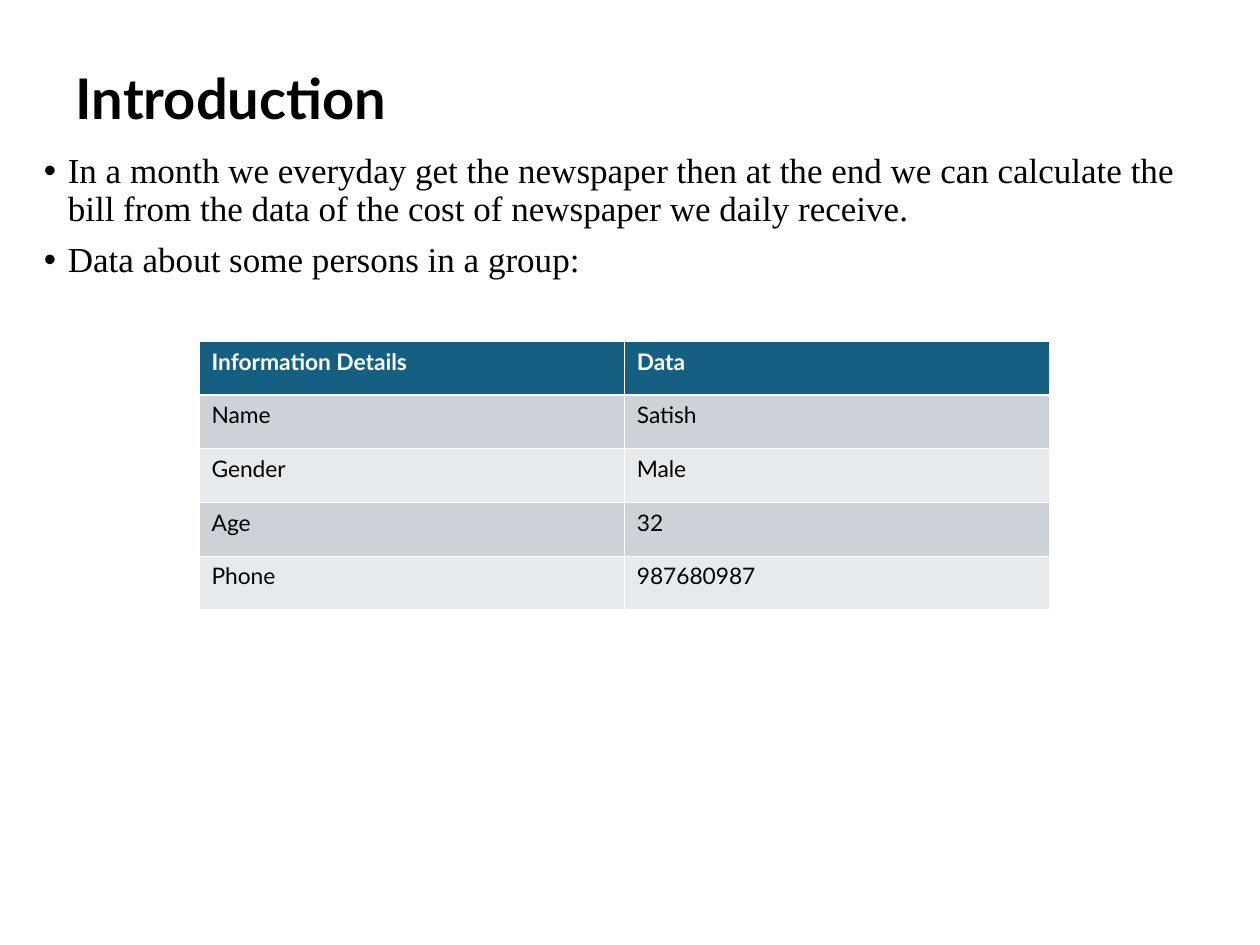
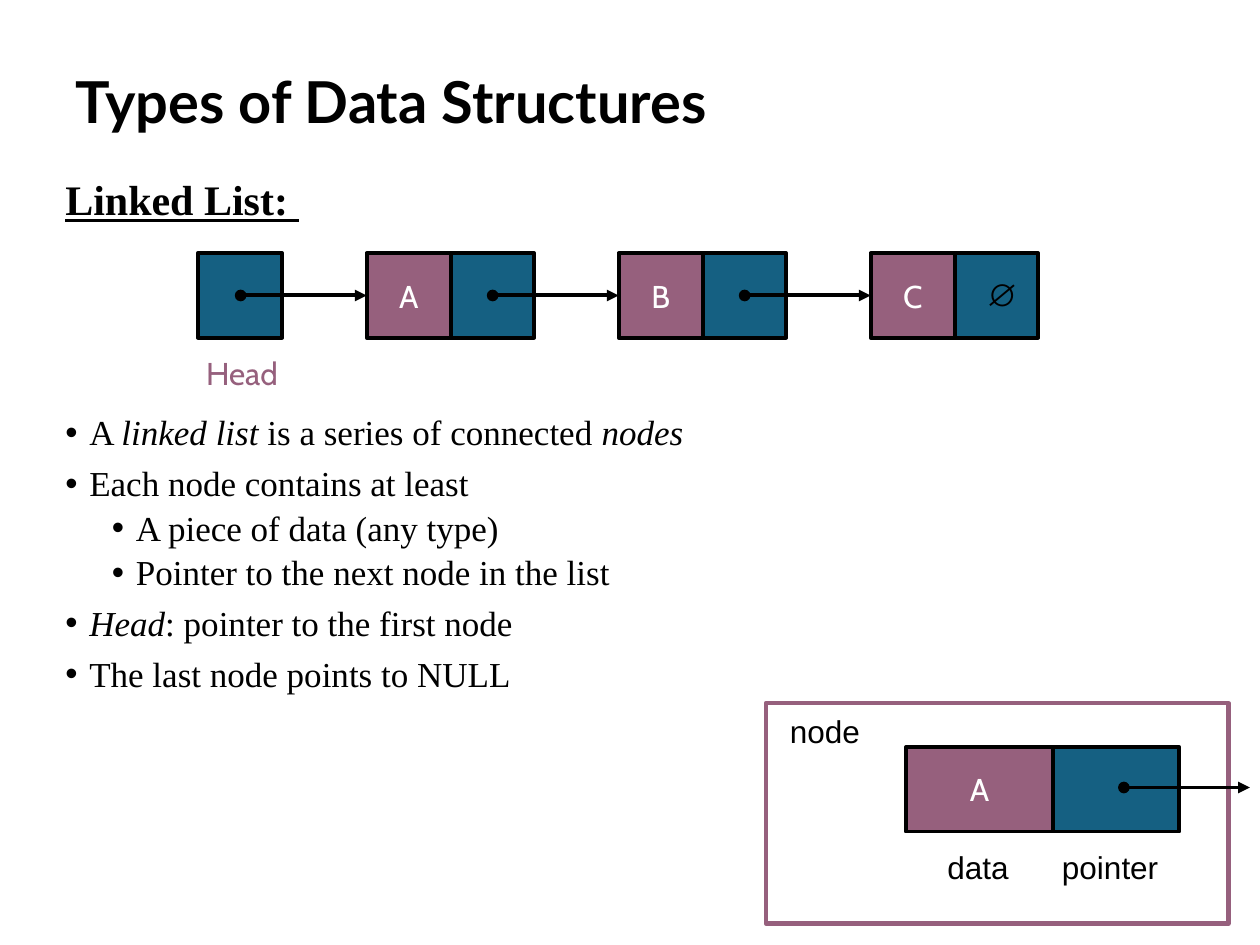
"""Build two lesson slides on data structures: a data table and a linked list."""
from lxml import etree
from pptx import Presentation
from pptx import util as u
from pptx.dml.color import RGBColor
from pptx.enum import shapes, text
from pptx.oxml import ns


class Theme:
    black = "000000"
    white = "FFFFFF"
    blue = "156082"
    plum = "96607D"
    bands = ("CCD2D8", "E7EAED")
    head = "Lato"
    body = "Times New Roman"
    node = "Cabin"
    label = "Arial"
    big, mid, small, cell = 24, 20, 18, 13
    line, frame, rule, thick = 2.25, 2.5, 0.45, 1.47


def write(par, words, size, font, color, bold=False, italic=False, under=False):
    """Add one styled run to a paragraph."""
    run = par.add_run()
    run.text = words
    face = run.font
    face.size, face.name = u.Pt(size), font
    face.bold, face.italic, face.underline = bold, italic, under
    face.color.rgb = RGBColor.from_string(color)


def add(parent, tag, **attrs):
    """Append a DrawingML child element."""
    return etree.SubElement(parent, ns.qn(tag), attrs)


deck = Presentation()
deck.slide_width, deck.slide_height = u.Inches(10), u.Inches(7.5)

pages = [
    ("Introduction", 32, (0.5, 0.58, 9, 0.45), (0.25, 1.17, 9.5, 1.25), [
        (0, ["In a month we everyday get the newspaper then at the end we can "
             "calculate the bill from the data of the cost of newspaper we daily receive."]),
        (0, ["Data about some persons in a group:"]),
    ]),
    ("Types of Data Structures", 33, (0.5, 0.42, 9, 0.83), (0.42, 3.25, 8.58, 3.33), [
        (0, ["A ", "*linked list", " is a series of connected ", "*nodes"]),
        (0, ["Each node contains at least"]),
        (1, ["A piece of data (any type)"]),
        (1, ["Pointer to the next node in the list"]),
        (0, ["*Head", ": pointer to the first node"]),
        (0, ["The last node points to NULL"]),
    ]),
]
for name, size, spot, area, points in pages:
    slide = deck.slides.add_slide(deck.slide_layouts[5])
    title = slide.shapes.title
    title.left, title.top, title.width, title.height = map(u.Inches, spot)
    frame = title.text_frame
    frame.auto_size = text.MSO_AUTO_SIZE.NONE
    frame.vertical_anchor = text.MSO_ANCHOR.MIDDLE
    par = frame.paragraphs[0]
    par.alignment, par.line_spacing = text.PP_ALIGN.LEFT, 0.9
    write(par, name, size, Theme.head, Theme.black, bold=True)

    frame = slide.shapes.add_textbox(*map(u.Inches, area)).text_frame
    frame.word_wrap = True
    for i, (level, runs) in enumerate(points):
        par = frame.add_paragraph() if i else frame.paragraphs[0]
        par.level, par.line_spacing = level, 0.9
        par.space_before = u.Pt(3.7 if level else 7.5)
        props = par._p.get_or_add_pPr()
        props.set("marL", str(u.Inches(0.56 if level else 0.19)))
        props.set("indent", str(u.Inches(-0.19)))
        add(props, "a:buFont", typeface="Arial")
        add(props, "a:buChar", char="•")
        for words in runs:
            write(par, words.lstrip("*"), Theme.mid, Theme.body, Theme.black,
                  italic=words.startswith("*"))

intro, types = deck.slides

facts = [("Information Details", "Data"), ("Name", "Satish"), ("Gender", "Male"),
         ("Age", "32"), ("Phone", "987680987")]
table = intro.shapes.add_table(len(facts), 2, u.Inches(1.58), u.Inches(2.71),
                               u.Inches(6.75), u.Inches(2.13)).table
for r, fact in enumerate(facts):
    for c, words in enumerate(fact):
        cell = table.cell(r, c)
        props = cell._tc.get_or_add_tcPr()
        for side in "LRTB":
            heavy = (r, side) in ((0, "B"), (1, "T"))
            width = u.Pt(Theme.thick if heavy else Theme.rule)
            edge = add(props, f"a:ln{side}", w=str(width))
            add(add(edge, "a:solidFill"), "a:srgbClr", val=Theme.white)
        cell.fill.solid()
        cell.fill.fore_color.rgb = RGBColor.from_string(
            Theme.bands[(r - 1) % 2] if r else Theme.blue)
        write(cell.text_frame.paragraphs[0], words, Theme.cell, Theme.head,
              Theme.black if r else Theme.white, bold=r == 0)

side, pitch, top = 0.67, 2, 2.01
boxes = [(6.08, 5.58, 3.67, 1.75, None, ""), (1.57, top, side, side, Theme.blue, "")]
for i, mark in enumerate("ABC"):
    left = 2.91 + i * pitch
    boxes += [(left + 0.66, top, side, side, Theme.blue, ""),
              (left, top, side, side, Theme.plum, mark)]
boxes += [(8.36, 5.93, 1, side, Theme.blue, ""), (7.19, 5.93, 1.17, side, Theme.plum, "A")]

nodes = []
for *area, color, mark in boxes:
    box = types.shapes.add_shape(shapes.MSO_SHAPE.RECTANGLE, *map(u.Inches, area))
    box.shadow.inherit = False
    if color:
        box.fill.solid()
        box.fill.fore_color.rgb = RGBColor.from_string(color)
    else:
        box.fill.background()
    box.line.color.rgb = RGBColor.from_string(Theme.black if color else Theme.plum)
    box.line.width = u.Pt(Theme.line if color else Theme.frame)
    if mark:
        par = box.text_frame.paragraphs[0]
        par.alignment = text.PP_ALIGN.CENTER
        write(par, mark, Theme.small, Theme.node, Theme.white)
        nodes.append(box)

mid = top + side / 2
arrows = [(1.91 + i * pitch, mid, nodes[i]) for i in range(3)] + [(8.92, 6.25, None)]
for x, y, goal in arrows:
    arrow = types.shapes.add_connector(shapes.MSO_CONNECTOR.STRAIGHT,
                                       *map(u.Inches, (x, y, x + 1, y)))
    if goal is not None:
        arrow.end_connect(goal, 1)
    arrow.line.color.rgb = RGBColor.from_string(Theme.black)
    arrow.line.width = u.Pt(Theme.line)
    edge = arrow.line._get_or_add_ln()
    add(edge, "a:headEnd", type="oval")
    add(edge, "a:tailEnd", type="triangle")
    add(arrow._element.spPr, "a:effectLst")

labels = [
    ("∅", 7.73, 2.13, 0.4, Theme.label, Theme.black, True),
    ("Head", 1.51, 2.76, 0.82, Theme.node, Theme.plum, True),
    ("data", 7.42, 6.68, 0.75, Theme.label, Theme.black, False),
    ("pointer", 8.33, 6.68, 1.08, Theme.label, Theme.black, False),
    ("node", 6.17, 5.6, 0.92, Theme.label, Theme.black, False),
]
for words, x, y, width, font, color, center in labels:
    frame = types.shapes.add_textbox(*map(u.Inches, (x, y, width, 0.4))).text_frame
    frame.word_wrap = not center
    par = frame.paragraphs[0]
    par.alignment = text.PP_ALIGN.CENTER if center else text.PP_ALIGN.LEFT
    write(par, words, Theme.small, font, color)

frame = types.shapes.add_textbox(*map(u.Inches, (0.42, 1.33, 2.67, 0.5))).text_frame
frame.word_wrap = True
write(frame.paragraphs[0], "Linked List: ", Theme.big, Theme.body, Theme.black,
      bold=True, under=True)

deck.save("out.pptx")
